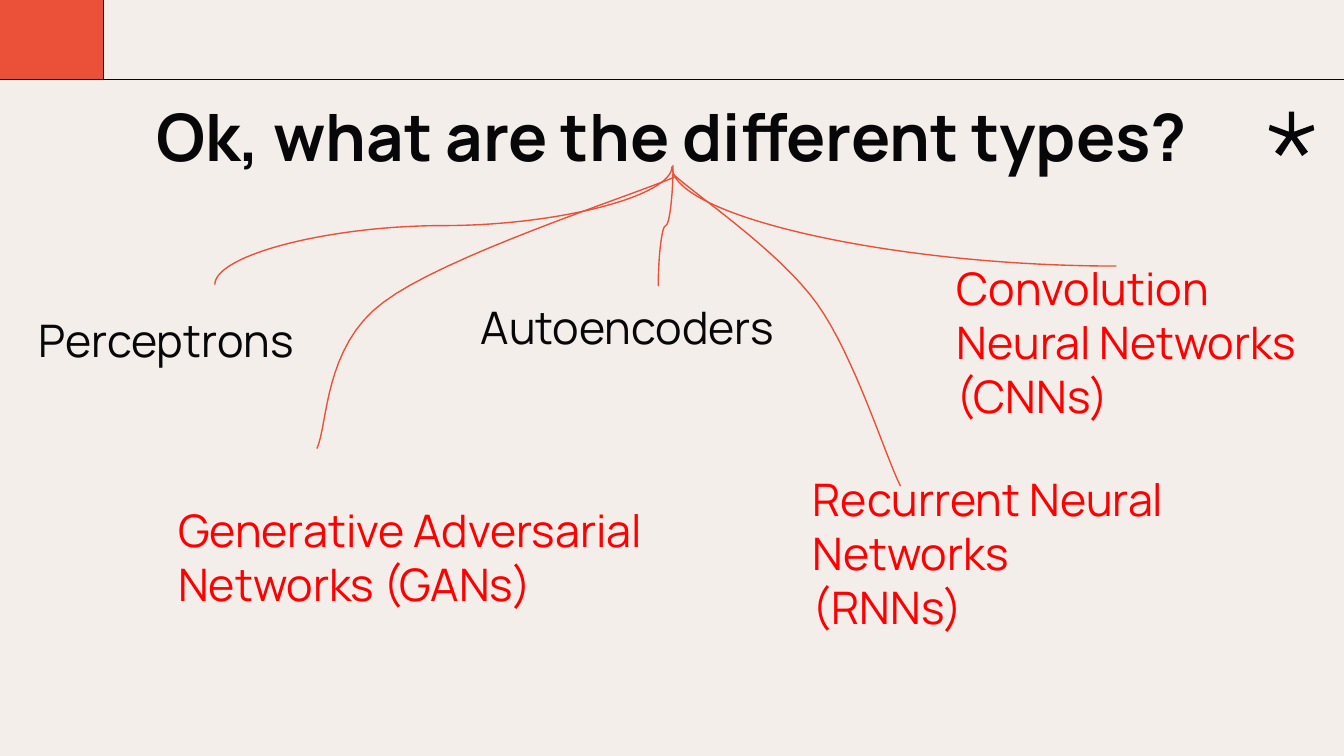
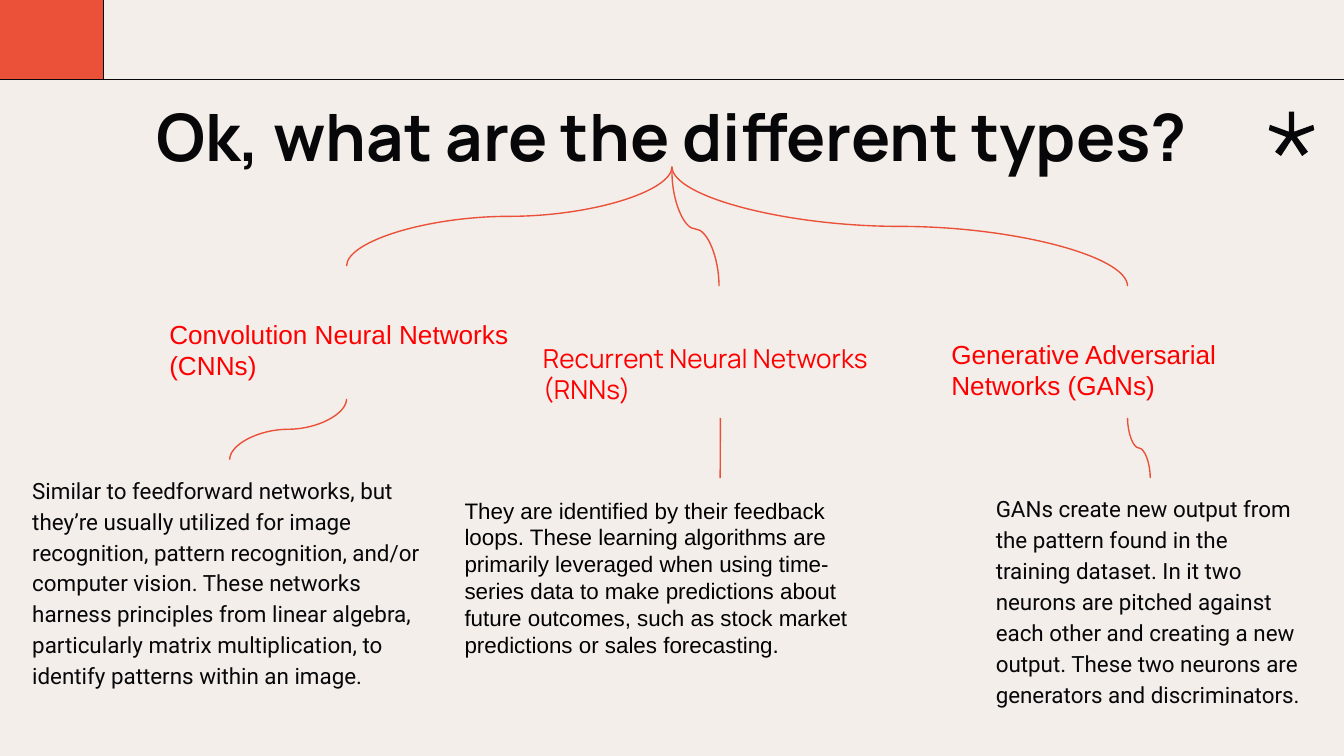
import pptx
import pptx.util
from pptx.dml.color import RGBColor
from pptx.enum.shapes import MSO_CONNECTOR, MSO_SHAPE
from pptx.enum.text import MSO_ANCHOR, MSO_AUTO_SIZE, PP_ALIGN
from pptx.oxml.ns import qn
from lxml import etree

Cm = pptx.util.Cm
Pt = pptx.util.Pt

COLORS = {"paper": "F3EEEA", "ink": "070709", "coral": "EA5138",
          "red": "FF0000", "black": "000000"}
TITLE = "Ok, what are the different types?"
HUB = (12.7, 3.15)      # where the branches leave the title
LABEL_SIZE = (7.21, 2.49)
TOP, MIDDLE, BOTTOM = MSO_ANCHOR.TOP, MSO_ANCHOR.MIDDLE, MSO_ANCHOR.BOTTOM


def color(name):
    return RGBColor.from_string(COLORS[name])


def bezier(start, *curves, steps=16):
    """Points along a chain of cubic curves."""
    points = [start]
    for control_a, control_b, end in curves:
        origin = points[-1]
        for step in range(1, steps + 1):
            t = step / steps
            weights = ((1 - t) ** 3, 3 * t * (1 - t) ** 2, 3 * t * t * (1 - t), t ** 3)
            corners = (origin, control_a, control_b, end)
            points.append(tuple(sum(w * c[axis] for w, c in zip(weights, corners))
                                for axis in (0, 1)))
    return points


class Deck:
    def __init__(self):
        self.prs = pptx.Presentation()
        self.prs.slide_width, self.prs.slide_height = Cm(25.4), Cm(14.29)
        backdrop = self.prs.slide_master.background.fill
        backdrop.solid()
        backdrop.fore_color.rgb = color("paper")
        self.slide = None

    def new_slide(self, title):
        self.slide = self.prs.slides.add_slide(self.prs.slide_layouts[5])
        self.frame()
        heading = self.slide.shapes.title
        heading.left, heading.top = Cm(1.98), Cm(1.57)
        heading.width, heading.height = Cm(21.44), Cm(1.6)
        self.set_text(heading, [title], 35, "Manrope", "ink", TOP, bold=True,
                      align=PP_ALIGN.CENTER)

    def frame(self):
        # Top band: rule, corner square and asterisk
        self.line((0, 1.5), (25.4, 1.5), "ink")
        corner = self.slide.shapes.add_shape(
            MSO_SHAPE.RECTANGLE, Cm(-0.05), Cm(-0.51), Cm(2.01), Cm(2.01))
        corner.shadow.inherit = False
        corner.fill.solid()
        corner.fill.fore_color.rgb = color("coral")
        self.stroke(corner, "ink")

        left_half = [(24.36, 2.11), (24.36, 2.49), (24, 2.36), (23.98, 2.46),
                     (24.31, 2.59), (24.1, 2.87), (24.21, 2.95)]
        axis = 24.41
        right_half = [(2 * axis - x, y) for x, y in reversed(left_half)]
        asterisk = self.outline(left_half + [(axis, 2.64)] + right_half, close=True)
        asterisk.fill.solid()
        asterisk.fill.fore_color.rgb = color("ink")
        asterisk.line.fill.background()

    def stroke(self, shape, ink):
        shape.line.color.rgb = color(ink)
        shape.line.width = Pt(0.75)

    def set_text(self, box, lines, size, font, ink, anchor, bold=False,
                 align=PP_ALIGN.LEFT, spacing=1.0):
        frame = box.text_frame
        frame.word_wrap = True
        frame.auto_size = MSO_AUTO_SIZE.NONE
        frame.vertical_anchor = anchor
        frame.margin_left = frame.margin_right = Cm(0.25)
        frame.margin_top = frame.margin_bottom = Cm(0.25)
        frame.text = "\n".join(lines)
        for paragraph in frame.paragraphs:
            paragraph.alignment = align
            paragraph.line_spacing = spacing
            paragraph.font.size = Pt(size)
            paragraph.font.name = font
            paragraph.font.bold = bold
            paragraph.font.color.rgb = color(ink)

    def text(self, place, extent, lines, size, font, ink, anchor=TOP, spacing=1.0):
        box = self.slide.shapes.add_textbox(*map(Cm, place + extent))
        self.set_text(box, lines, size, font, ink, anchor, spacing=spacing)
        return box

    def connector(self, kind, start, end, ink):
        link = self.slide.shapes.add_connector(kind, *map(Cm, start + end))
        self.stroke(link, ink)
        etree.SubElement(link._element.spPr, qn("a:effectLst"))
        return link

    def line(self, start, end, ink="coral"):
        return self.connector(MSO_CONNECTOR.STRAIGHT, start, end, ink)

    def branch(self, start, end, quarter=False):
        """Curved connector that leaves its start downwards."""
        (x1, y1), (x2, y2) = start, end
        mid_x, mid_y = (x1 + x2) / 2, (y1 + y2) / 2
        half_w, half_h = (y2 - y1) / 2, abs(x2 - x1) / 2
        to_right = x2 > x1
        if to_right:
            half_w = -half_w
        link = self.connector(MSO_CONNECTOR.CURVE, (mid_x - half_w, mid_y - half_h),
                              (mid_x + half_w, mid_y + half_h), "coral")
        properties = link._element.spPr
        degrees = 270 if to_right else 90
        properties.find(qn("a:xfrm")).set("rot", str(degrees * 60000))
        if quarter:
            properties.find(qn("a:prstGeom")).set("prst", "curvedConnector2")

    def outline(self, points, close=False):
        corners = [(Cm(x), Cm(y)) for x, y in points]
        builder = self.slide.shapes.build_freeform(*corners[0])
        builder.add_line_segments(corners[1:], close=close)
        shape = builder.convert_to_shape()
        shape.shadow.inherit = False
        return shape

    def curve(self, start, *curves):
        shape = self.outline(bezier(start, *curves))
        shape.fill.background()
        self.stroke(shape, "coral")


def overview(deck):
    deck.new_slide(TITLE)
    # Network types
    for place, extent, lines, ink, anchor in (
            ((0.48, 5.38), (7.21, 1.8), ["Perceptrons"], "ink", BOTTOM),
            ((8.84, 5.41), LABEL_SIZE, ["Autoencoders"], "ink", TOP),
            ((17.83, 5.74), LABEL_SIZE, ["Convolution Neural Networks", "(CNNs)"],
             "red", BOTTOM),
            ((15.11, 9.73), LABEL_SIZE, ["Recurrent Neural Networks", "(RNNs)"],
             "red", BOTTOM),
            ((3.12, 9.3), (9.3, 2.49), ["Generative Adversarial Networks (GANs)"],
             "red", BOTTOM)):
        deck.text(place, extent, lines, 24, "Manrope", ink, anchor)

    # Branches from the title
    deck.branch(HUB, (21.1, 5.03), quarter=True)
    deck.branch((12.72, 3.12), (12.44, 5.41))
    deck.branch(HUB, (4.06, 5.38))
    deck.curve((12.75, 3.35),
               ((11.84, 3.73), (8.38, 4.85), (7.24, 5.72)),
               ((6.12, 6.55), (6.2, 8.03), (5.99, 8.48)))
    deck.curve((12.73, 3.3),
               ((13.18, 3.71), (14.73, 4.75), (15.44, 5.74)),
               ((16.15, 6.73), (16.74, 8.64), (17.02, 9.19)))


def details(deck):
    deck.new_slide(TITLE)
    # Headings
    deck.text((2.95, 5.36), LABEL_SIZE, ["Convolution Neural Networks", "(CNNs)"],
              14, "Arial", "red", MIDDLE)
    rnn_heading = deck.text((10.01, 5.41), LABEL_SIZE,
                            ["Recurrent Neural Networks", "(RNNs)"],
                            14, "Manrope", "red", BOTTOM)
    deck.text((17.73, 5.74), LABEL_SIZE, ["Generative Adversarial Networks (GANs)"],
              14, "Arial", "red", MIDDLE)

    # Descriptions
    deck.text((0.36, 8.69), (7.98, 4.9), [
        "Similar to feedforward networks, but they’re usually utilized for image "
        "recognition, pattern recognition, and/or computer vision. These networks "
        "harness principles from linear algebra, particularly matrix multiplication, "
        "to identify patterns within an image."], 12, "Roboto", "ink", spacing=1.15)
    deck.text((8.53, 9.14), (8.33, 4.7), [
        "They are identified by their feedback loops. These learning algorithms are "
        "primarily leveraged when using time-series data to make predictions about "
        "future outcomes, such as stock market predictions or sales forecasting."],
        12, "Arial", "black")
    deck.text((18.57, 9.04), (6.35, 3.76), [
        "GANs create new output from the pattern found in the training dataset. In it "
        "two neurons are pitched against each other and creating a new output. These "
        "two neurons are generators and discriminators."],
        12, "Roboto", "ink", spacing=1.15)

    # Branches from title to headings, then to descriptions
    for start, end in ((HUB, (21.31, 5.41)), (HUB, (6.55, 5.03)),
                       ((12.7, 3.25), (13.59, 5.41)),
                       ((6.55, 7.54), (4.34, 8.69)),
                       ((21.31, 7.9), (21.74, 9.04))):
        deck.branch(start, end)
    rnn_link = deck.line((13.61, 7.9), (13.61, 9.04))
    rnn_link.begin_connect(rnn_heading, 2)


def main():
    deck = Deck()
    overview(deck)
    details(deck)
    deck.prs.save("out.pptx")


if __name__ == "__main__":
    main()
